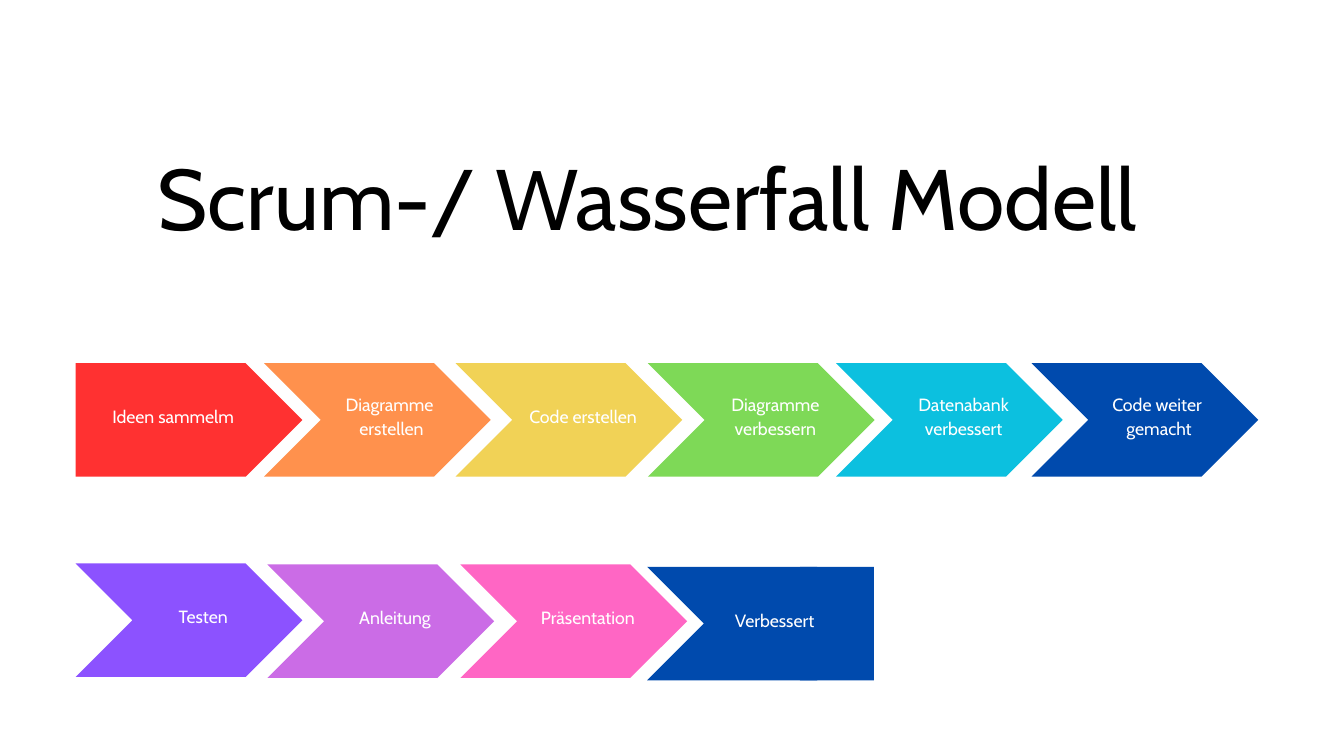
from pptx import Presentation
from pptx.dml.color import RGBColor
from pptx.enum import shapes, text
from pptx.util import Cm, Pt

FONT = "Cabin"
TITLE = "Scrum-/ Wasserfall Modell"
STEPS = [
    (["Ideen sammelm"], "FF3131", 2.86, 13.73),
    (["Diagramme ", "erstellen"], "FF914D", 9.98, 13.73),
    (["Code erstellen"], "F1D256", 17.22, 13.73),
    (["Diagramme", "verbessern"], "7ED957", 24.49, 13.73),
    (["Datenabank", "verbessert"], "0CC0DF", 31.6, 13.73),
    (["Code weiter ", "gemacht"], "004AAD", 38.99, 13.73),
    (["Testen"], "8C52FF", 2.86, 21.3),
    (["Anleitung"], "CB6CE6", 10.11, 21.34),
    (["Präsentation"], "FF66C4", 17.4, 21.34),
    (["Verbessert"], "004AAD", 24.46, 21.43),
]
STEP_WIDTH, STEP_HEIGHT = 8.57, 4.29
END_WIDTH = 4.93
LABEL_RISE, LABEL_INSET = 0.4, 0.15


def color(value):
    return RGBColor.from_string(value)


def add_arrow(slide, kind, left, top, width, fill):
    arrow = slide.shapes.add_shape(
        kind, Cm(left), Cm(top), Cm(width), Cm(STEP_HEIGHT))
    arrow.adjustments[0] = 0.5
    arrow.shadow.inherit = False
    arrow.fill.solid()
    arrow.fill.fore_color.rgb = color(fill)
    arrow.line.fill.background()
    return arrow


def add_label(slide, lines, left, top, width, height, size, spacing, ink, inset, anchor):
    frame = slide.shapes.add_textbox(
        Cm(left), Cm(top), Cm(width), Cm(height)).text_frame
    frame.word_wrap = True
    frame.vertical_anchor = anchor
    frame.margin_left = frame.margin_right = Cm(inset)
    frame.margin_top = frame.margin_bottom = Cm(inset)
    frame.text = "\n".join(lines)
    for paragraph in frame.paragraphs:
        paragraph.alignment = text.PP_ALIGN.CENTER
        paragraph.line_spacing = Pt(spacing)
        paragraph.font.name = FONT
        paragraph.font.size = Pt(size)
        paragraph.font.color.rgb = color(ink)


def main():
    deck = Presentation()
    deck.slide_width, deck.slide_height = Cm(50.8), Cm(28.58)
    slide = deck.slides.add_slide(deck.slide_layouts[6])

    for index, (lines, fill, left, top) in enumerate(STEPS):
        first = index == 0
        if index == len(STEPS) - 1:
            end = add_arrow(slide, shapes.MSO_SHAPE.PENTAGON,
                            left + STEP_WIDTH - END_WIDTH, top, END_WIDTH, fill)
            end.rotation = 180
        kind = shapes.MSO_SHAPE.PENTAGON if first else shapes.MSO_SHAPE.CHEVRON
        add_arrow(slide, kind, left, top, STEP_WIDTH, fill)
        shift, width = (0, 7.37) if first else (1.87, 5.9)
        add_label(slide, lines, left + shift, top - LABEL_RISE, width,
                  STEP_HEIGHT + LABEL_RISE, 19, 26.6, "FFFFFF",
                  LABEL_INSET, text.MSO_ANCHOR.MIDDLE)

    add_label(slide, [TITLE], 2.97, 4.83, 43, 4.34, 92, 128.8, "000000",
              0, text.MSO_ANCHOR.TOP)
    deck.save("out.pptx")


if __name__ == "__main__":
    main()
